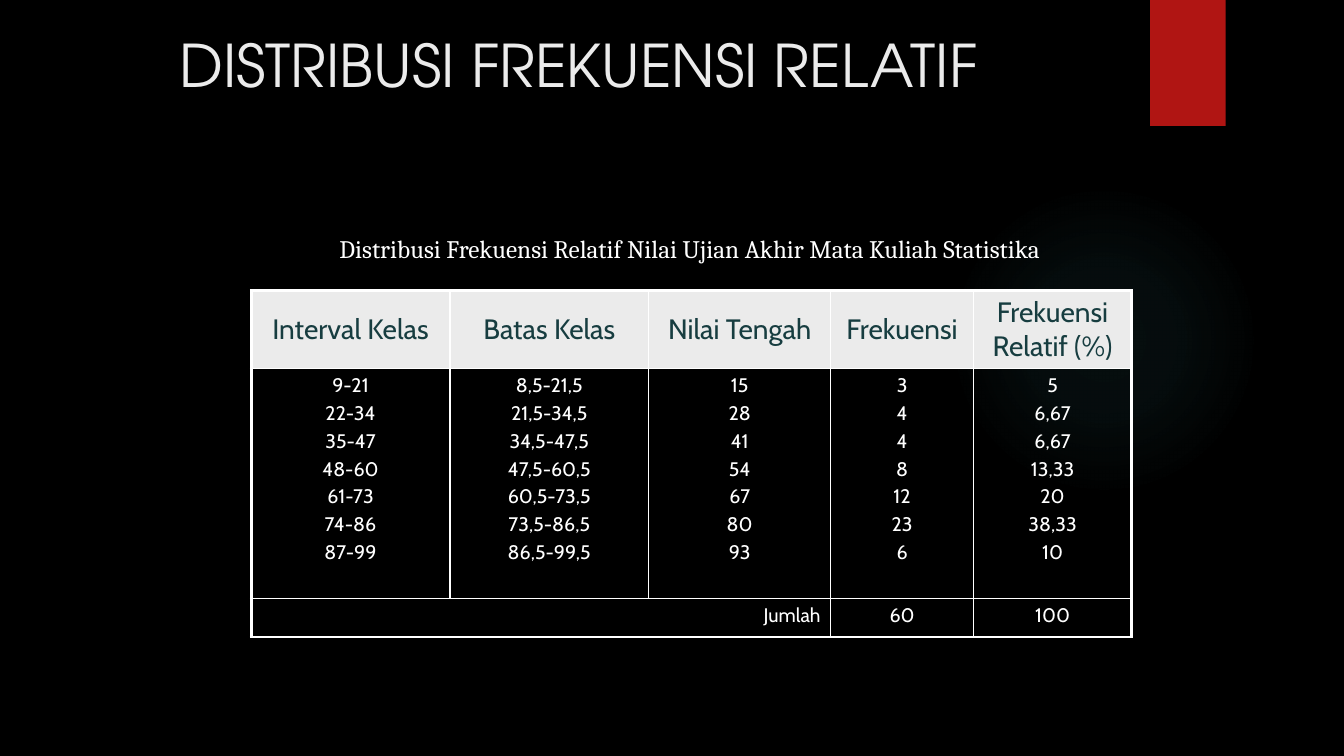
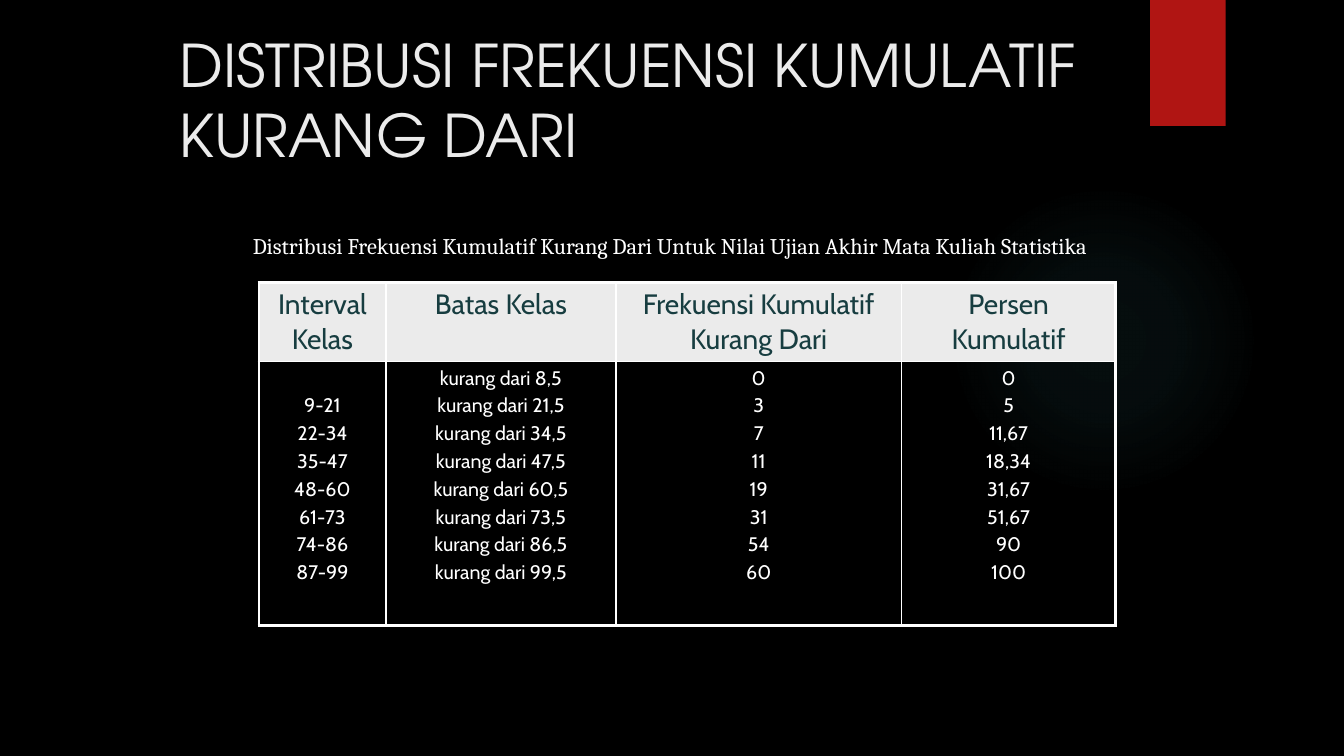
from lxml import etree
from pptx import Presentation
from pptx.dml.color import RGBColor
from pptx.enum.shapes import MSO_SHAPE
from pptx.enum.text import MSO_ANCHOR, MSO_AUTO_SIZE, PP_ALIGN
from pptx.oxml import parse_xml
from pptx.oxml.ns import nsdecls, qn
from pptx.util import Pt

ELLIPSE, RECTANGLE = MSO_SHAPE.OVAL, MSO_SHAPE.RECTANGLE
TOP, MIDDLE = MSO_ANCHOR.TOP, MSO_ANCHOR.MIDDLE
LEFT, CENTER, RIGHT = PP_ALIGN.LEFT, PP_ALIGN.CENTER, PP_ALIGN.RIGHT
NO_FIT = MSO_AUTO_SIZE.NONE

BLACK = RGBColor(0x00, 0x00, 0x00)
WHITE = RGBColor(0xFF, 0xFF, 0xFF)
PALE = RGBColor(0xEB, 0xEB, 0xEB)
RED = RGBColor(0xB0, 0x15, 0x13)
TEAL = RGBColor(0x50, 0xB9, 0xC1)
DARK_TEAL = RGBColor(0x17, 0x3D, 0x40)

GLOW_BOX = (677.5, 131.8, 221.8, 221.8)
RIBBON_BOX = (821.5, 0, 54, 90)
TITLE_BOX = (121, 16.6, 818, 115.2)
GLOW_STOPS = ((0, 7), (36, 6), (69, 0), (100, 0))
OUTER_LINE, INNER_LINE = Pt(2.25), Pt(1)
CELL_TOP, LINE_PITCH = 3.6, 19.8

TITLE_FONT = {"name": "TeX Gyre Adventor", "size": Pt(42), "bold": False}
HEADER_FONT = {"name": "Cabin", "size": Pt(20), "bold": False}
BODY_FONT = {"name": "Cabin", "size": Pt(14), "bold": False}
CAPTION_FONT = {"name": "Cambria", "bold": False}

INTERVALS = ["9-21", "22-34", "35-47", "48-60", "61-73", "74-86", "87-99"]
LIMITS = ["8,5", "21,5", "34,5", "47,5", "60,5", "73,5", "86,5", "99,5"]

RELATIVE = {
    "title": "DISTRIBUSI FREKUENSI RELATIF",
    "caption": "Distribusi Frekuensi Relatif Nilai Ujian Akhir Mata Kuliah Statistika",
    "caption_box": (235.4, 163.4, 605, 29),
    "caption_size": 18,
    "table_at": (179.4, 207.4),
    "widths": (142, 142, 130, 102, 113),
    "heights": (55.4, 164.2, 27.4),
    "header_anchor": MIDDLE,
    "columns": {
        "Interval Kelas": INTERVALS,
        "Batas Kelas": [f"{low}-{high}" for low, high in zip(LIMITS, LIMITS[1:])],
        "Nilai Tengah": ["15", "28", "41", "54", "67", "80", "93"],
        "Frekuensi": ["3", "4", "4", "8", "12", "23", "6"],
        "Frekuensi Relatif (%)": ["5", "6,67", "6,67", "13,33", "20", "38,33", "10"],
    },
    "totals": ["60", "100"],
}
CUMULATIVE = {
    "title": "DISTRIBUSI FREKUENSI KUMULATIF KURANG DARI",
    "caption": "Distribusi Frekuensi Kumulatif Kurang Dari Untuk Nilai Ujian Akhir "
               "Mata Kuliah Statistika",
    "caption_box": (173.5, 162, 720, 26.6),
    "caption_size": 16,
    "table_at": (185, 202),
    "widths": (90.7, 164.3, 204, 153),
    "heights": (55.4, 188.6),
    "header_anchor": TOP,
    "columns": {
        "Interval Kelas": INTERVALS,
        "Batas Kelas": [f"kurang dari {limit}" for limit in LIMITS],
        "Frekuensi Kumulatif Kurang Dari": ["0", "3", "7", "11", "19", "31", "54", "60"],
        "Persen Kumulatif": ["0", "5", "11,67", "18,34", "31,67", "51,67", "90", "100"],
    },
    "totals": [],
}


def points(values):
    return [Pt(value) for value in values]


def write_lines(frame, lines, font, color, align=LEFT, space_before=0):
    for index, line in enumerate(lines):
        paragraph = frame.paragraphs[0] if index == 0 else frame.add_paragraph()
        paragraph.alignment = align
        paragraph.space_before = Pt(space_before)
        run = paragraph.add_run()
        run.text = line
        for attribute, value in font.items():
            setattr(run.font, attribute, value)
        run.font.color.rgb = color


def glow_gradient():
    stops = "".join(
        f'<a:gs pos="{position * 1000}"><a:srgbClr val="{TEAL}">'
        f'<a:alpha val="{opacity * 1000}"/></a:srgbClr></a:gs>'
        for position, opacity in GLOW_STOPS)
    return parse_xml(
        f'<a:gradFill {nsdecls("a")} rotWithShape="1"><a:gsLst>{stops}</a:gsLst>'
        '<a:path path="circle"><a:fillToRect l="50000" t="50000" r="50000" b="50000"/>'
        '</a:path></a:gradFill>')


def add_backdrop(slide, layout):
    glow = slide.shapes.add_shape(ELLIPSE, *points(GLOW_BOX))
    glow.fill.background()
    properties = glow.element.spPr
    properties.replace(properties.find(qn("a:noFill")), glow_gradient())
    ribbon = slide.shapes.add_shape(RECTANGLE, *points(RIBBON_BOX))
    ribbon.fill.solid()
    ribbon.fill.fore_color.rgb = RED
    for order, decoration in enumerate((glow, ribbon)):
        decoration.shadow.inherit = False
        decoration.line.fill.background()
        decoration.element.nvSpPr.cNvPr.set("id", str(101 + order))
        layout.shapes.element.insert(2 + order, decoration.element)


def add_title(slide, text, box):
    title = slide.shapes.title
    title.left, title.top, title.width, title.height = points(box)
    frame = title.text_frame
    for attribute, value in {"vertical_anchor": TOP, "word_wrap": True,
                             "auto_size": NO_FIT}.items():
        setattr(frame, attribute, value)
    write_lines(frame, [text], TITLE_FONT, PALE)


def add_caption(slide, text, size, box):
    frame = slide.shapes.add_textbox(*points(box)).text_frame
    frame.word_wrap = True
    write_lines(frame, [text], CAPTION_FONT | {"size": Pt(size)}, WHITE)


def set_borders(cell, outer_sides):
    properties = cell._tc.get_or_add_tcPr()
    for side in "TB" if cell.is_spanned else "LRTB":
        width = OUTER_LINE if side in outer_sides else INNER_LINE
        border = etree.SubElement(properties, qn(f"a:ln{side}"), w=str(int(width)))
        fill = etree.SubElement(border, qn("a:solidFill"))
        etree.SubElement(fill, qn("a:srgbClr"), val=str(WHITE))


def format_cells(table):
    last_row, last_column = len(table.rows) - 1, len(table.columns) - 1
    for row in range(last_row + 1):
        for column in range(last_column + 1):
            cell = table.cell(row, column)
            edges = {"L": column == 0, "R": column == last_column,
                     "T": row == 0, "B": row == last_row}
            set_borders(cell, [side for side, outer in edges.items() if outer])
            if row == 0:
                cell.fill.solid()
                cell.fill.fore_color.rgb = PALE
            else:
                cell.fill.background()


def add_frequency_table(slide, content):
    widths, heights = content["widths"], content["heights"]
    columns, totals = content["columns"], content["totals"]
    box = (*content["table_at"], sum(widths), sum(heights))
    table = slide.shapes.add_table(len(heights), len(widths), *points(box)).table
    table.horz_banding = False
    for column, width in zip(table.columns, widths):
        column.width = Pt(width)
    for row, height in zip(table.rows, heights):
        row.height = Pt(height)
    if totals:
        table.cell(2, 0).merge(table.cell(2, len(widths) - len(totals) - 1))
    format_cells(table)

    line_count = max(len(values) for values in columns.values())
    for index, (heading, values) in enumerate(columns.items()):
        header, body = table.cell(0, index), table.cell(1, index)
        header.vertical_anchor = content["header_anchor"]
        write_lines(header.text_frame, [heading], HEADER_FONT, DARK_TEAL, CENTER, 4)
        body.margin_top = Pt(CELL_TOP + LINE_PITCH * (line_count - len(values)))
        write_lines(body.text_frame, values, BODY_FONT, WHITE, CENTER, 2.8)
    if totals:
        write_lines(table.cell(2, 0).text_frame, ["Jumlah"], BODY_FONT, WHITE, RIGHT, 2.8)
    for index, total in enumerate(totals, len(widths) - len(totals)):
        write_lines(table.cell(2, index).text_frame, [total], BODY_FONT, WHITE, CENTER, 2.8)


def add_distribution_slide(slide, content):
    add_title(slide, content["title"], TITLE_BOX)
    add_frequency_table(slide, content)
    add_caption(slide, content["caption"], content["caption_size"], content["caption_box"])


def main():
    prs = Presentation()
    prs.slide_width, prs.slide_height = Pt(960), Pt(540)
    background = prs.slide_master.background.fill
    background.solid()
    background.fore_color.rgb = BLACK
    layout = prs.slide_layouts[5]
    relative, cumulative = [prs.slides.add_slide(layout) for _ in range(2)]
    add_backdrop(relative, layout)
    add_distribution_slide(relative, RELATIVE)
    add_distribution_slide(cumulative, CUMULATIVE)
    prs.save("out.pptx")


if __name__ == "__main__":
    main()
